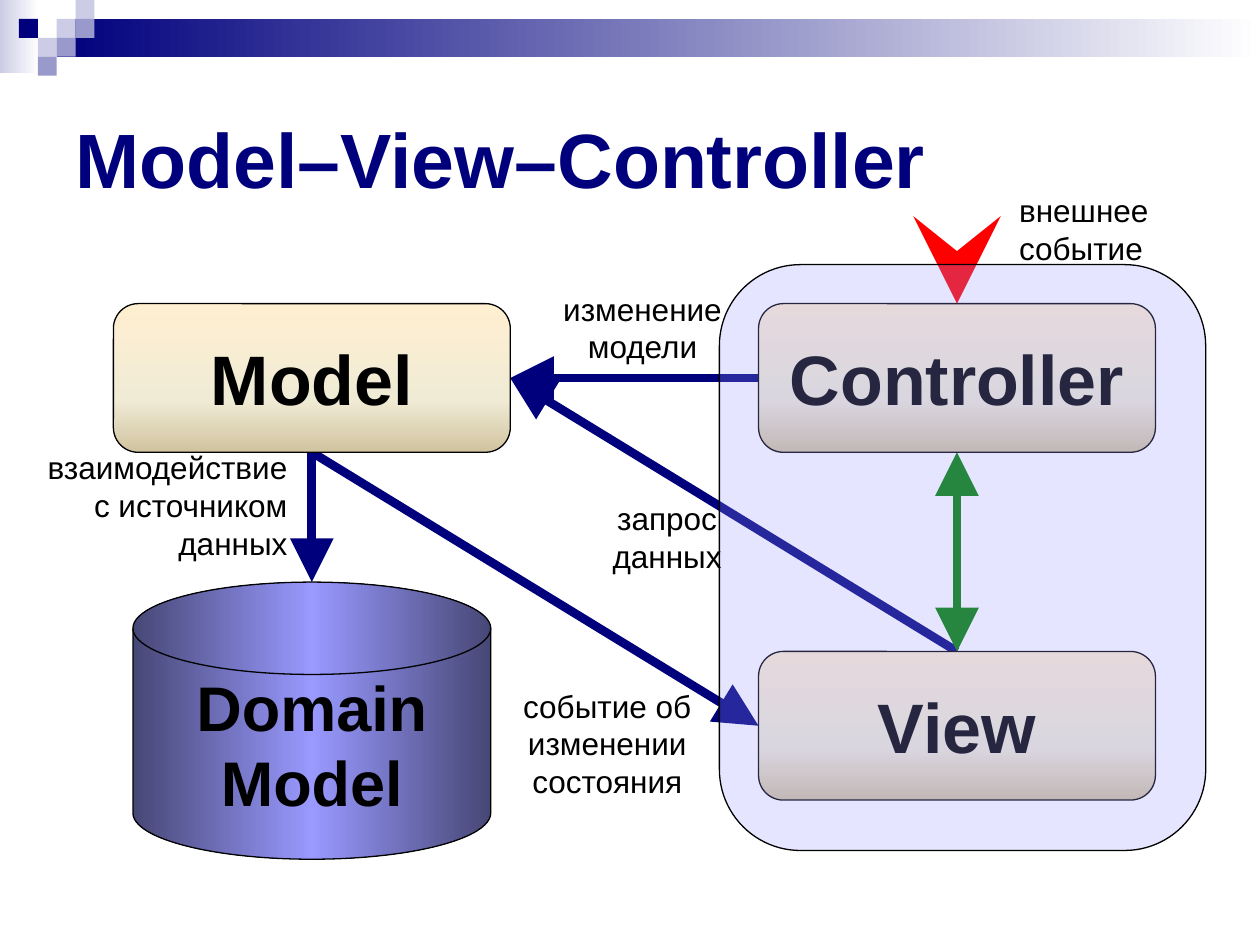
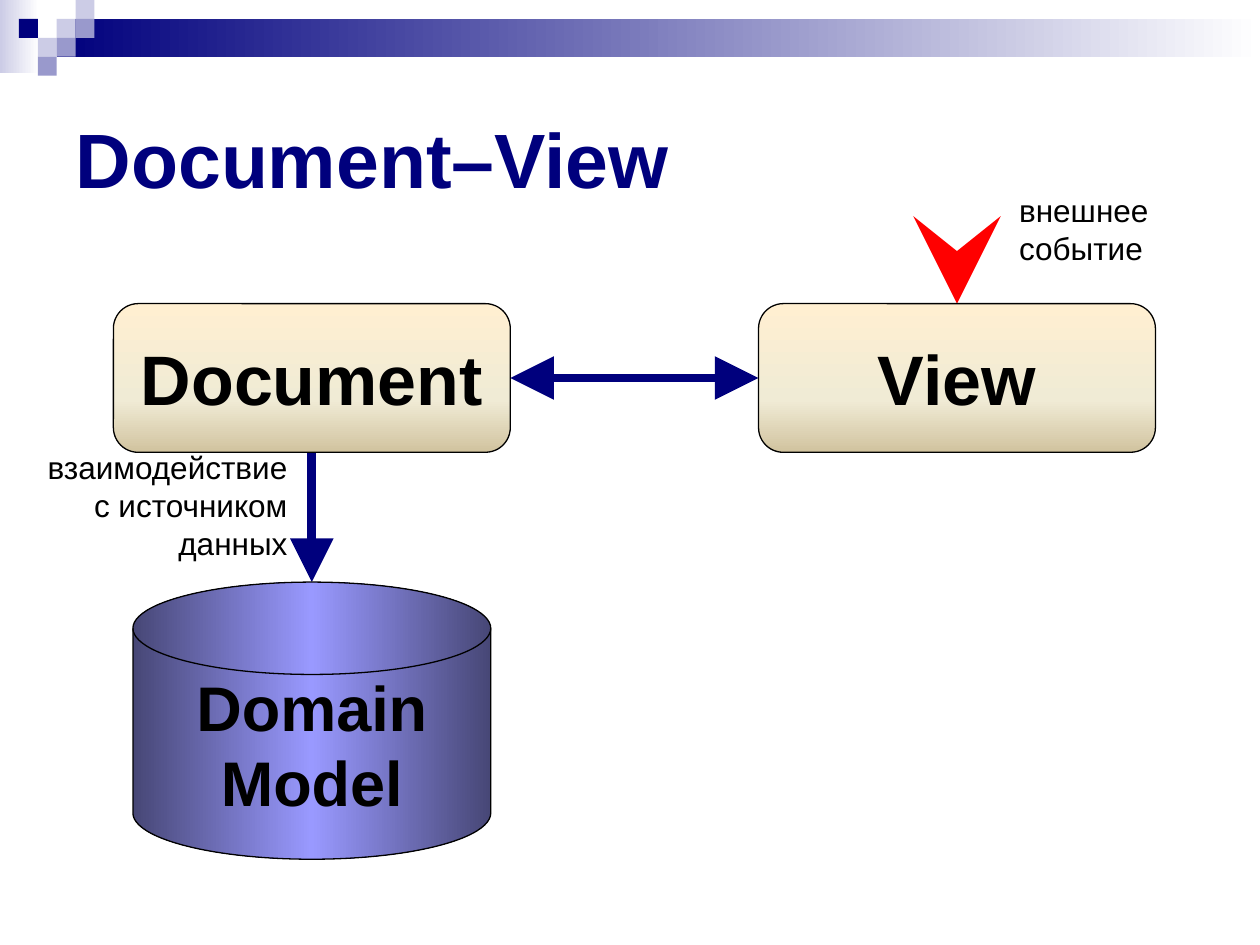
"""Build two slides that compare Model–View–Controller with Document–View."""
from copy import deepcopy

from lxml.etree import SubElement
from pptx import Presentation
from pptx.dml.color import RGBColor
from pptx.enum.shapes import MSO_CONNECTOR, MSO_SHAPE
from pptx.enum.text import MSO_ANCHOR, MSO_AUTO_SIZE, PP_ALIGN
from pptx.oxml.ns import qn
from pptx.util import Inches, Pt

NAVY, LAVENDER, PALE = "00007D", "9999CC", "CCCCE6"
BLACK, WHITE, RED, GREEN = "000000", "FFFFFF", "FF0000", "008000"
PERIWINKLE, DARK_PERIWINKLE = "9999FF", "474776"
CREAM, SAND, TAN = "FFEFD1", "F0EBD5", "D1C39F"

TOP, LEFT, BOTTOM, RIGHT = range(4)
ONE_WAY, TWO_WAY, EVENT = ("none", "triangle"), ("triangle", "triangle"), ("none", "stealth")

LEFT_COLUMN, RIGHT_COLUMN = 0.9, 6.02
UPPER_ROW, LOWER_ROW = 2.41, 5.17
PART_WIDTH, PART_HEIGHT = 3.15, 1.18
STORE_WIDTH, STORE_HEIGHT, STORE_TOP = 2.84, 2.2, 4.62
STORE_CENTER = LEFT_COLUMN + PART_WIDTH / 2
EVENT_CENTER = RIGHT_COLUMN + PART_WIDTH / 2
EVENT_TOP = UPPER_ROW - 0.55

TILE = 0.15
TILES = [
    (3, 1, PALE), (4, 0, PALE), (4, 1, LAVENDER), (2, 2, PALE),
    (1, 1, NAVY), (3, 2, LAVENDER), (2, 3, LAVENDER),
]
BAND = [
    (0, 0, 0.31, 0.58, [PALE, WHITE]),
    (0.45, 0.15, 9.55, 0.3, [NAVY, WHITE]),
] + [(column * TILE, row * TILE, TILE, TILE, [color]) for column, row, color in TILES]

SHARED_LABELS = [
    ("внешнее\nсобытие", 7.99, 1.47, 1.23, 0.7, PP_ALIGN.LEFT),
    ("взаимодействие\nс источником\nданных", 0.27, 3.51, 2.11, 1, PP_ALIGN.RIGHT),
]

DIAGRAMS = [
    {
        "title": "Model–View–Controller",
        "parts": {
            "Model": (LEFT_COLUMN, UPPER_ROW),
            "Controller": (RIGHT_COLUMN, UPPER_ROW),
            "View": (RIGHT_COLUMN, LOWER_ROW),
        },
        "links": [
            ("Model", BOTTOM, "store", TOP, NAVY, 5, ONE_WAY),
            ("event", BOTTOM, "Controller", TOP, RED, 10, EVENT),
            ("Controller", LEFT, "Model", RIGHT, NAVY, 5, ONE_WAY),
            ("Model", BOTTOM, "View", LEFT, NAVY, 5, ONE_WAY),
            ("View", TOP, "Model", RIGHT, NAVY, 5, ONE_WAY),
            ("View", TOP, "Controller", BOTTOM, GREEN, 5, TWO_WAY),
        ],
        "labels": [
            ("изменение\nмодели", 4.37, 2.25, 1.46, 0.7, PP_ALIGN.CENTER),
            ("событие об\nизменении\nсостояния", 4.02, 5.4, 1.6, 1, PP_ALIGN.CENTER),
            ("запрос\nданных", 4.76, 3.91, 1.07, 0.7, PP_ALIGN.CENTER),
        ],
        "panels": [(5.71, 2.1, 3.86, 4.65)],
    },
    {
        "title": "Document–View",
        "parts": {
            "Document": (LEFT_COLUMN, UPPER_ROW),
            "View": (RIGHT_COLUMN, UPPER_ROW),
        },
        "links": [
            ("Document", BOTTOM, "store", TOP, NAVY, 5, ONE_WAY),
            ("event", BOTTOM, "View", TOP, RED, 10, EVENT),
            ("View", LEFT, "Document", RIGHT, NAVY, 5, TWO_WAY),
        ],
        "labels": [],
        "panels": [],
    },
]


def paint(target, *colors, stops=(0, 100), angle=0):
    fill = target.fill
    if len(colors) == 1:
        fill.solid()
        fill.fore_color.rgb = RGBColor.from_string(colors[0])
        return
    fill.gradient()
    fill.gradient_angle = angle
    stop_list = target.element.spPr.find(qn("a:gradFill")).find(qn("a:gsLst"))
    while len(stop_list) < len(colors):
        stop_list.append(deepcopy(stop_list[0]))
    for stop, color, position in zip(fill.gradient_stops, colors, stops):
        stop.color.rgb = RGBColor.from_string(color)
        stop.position = position / 100


def write(shape, text, size=18, bold=False, color=BLACK, align=PP_ALIGN.CENTER,
          wrap=False, anchor=MSO_ANCHOR.MIDDLE, fit=MSO_AUTO_SIZE.NONE):
    frame = shape.text_frame
    frame.text = text
    frame.word_wrap = wrap
    frame.vertical_anchor = anchor
    frame.auto_size = fit
    for paragraph in frame.paragraphs:
        paragraph.alignment = align
        font = paragraph.runs[0].font
        font.name, font.size, font.bold = "Arial", Pt(size), bold
        paint(font, color)


prs = Presentation()
prs.slide_width, prs.slide_height = Inches(10), Inches(7.5)
layout = prs.slide_layouts[5]
layout_title = layout.placeholders[0]
layout_title.left, layout_title.top = Inches(0.5), Inches(0.5)
layout_title.width, layout_title.height = Inches(9), Inches(1.5)

for diagram in DIAGRAMS:
    shapes = prs.slides.add_slide(layout).shapes
    write(shapes.title, diagram["title"], size=44, bold=True, color=NAVY,
          align=PP_ALIGN.LEFT, wrap=True)

    parts = {}
    for name, corner in diagram["parts"].items():
        parts[name] = shapes.add_shape(MSO_SHAPE.FLOWCHART_ALTERNATE_PROCESS,
                                       *map(Inches, (*corner, PART_WIDTH, PART_HEIGHT)))
        paint(parts[name], CREAM, SAND, TAN, stops=(0, 65, 100), angle=270)
        write(parts[name], name, size=40, bold=True)

    store_left = STORE_CENTER - STORE_WIDTH / 2
    store = shapes.add_shape(MSO_SHAPE.FLOWCHART_MAGNETIC_DISK,
                             *map(Inches, (store_left, STORE_TOP, STORE_WIDTH, STORE_HEIGHT)))
    paint(store, DARK_PERIWINKLE, PERIWINKLE, DARK_PERIWINKLE, stops=(0, 50, 100))
    write(store, "Domain\nModel", size=36, bold=True)
    outlined = [*parts.values(), store]

    for source, source_side, goal, goal_side, color, width, heads in diagram["links"]:
        link = shapes.add_connector(
            MSO_CONNECTOR.STRAIGHT,
            *map(Inches, (EVENT_CENTER, EVENT_TOP, STORE_CENTER, STORE_TOP)))
        if source in parts:
            link.begin_connect(parts[source], source_side)
        if goal in parts:
            link.end_connect(parts[goal], goal_side)
        paint(link.line, color)
        link.line.width = Pt(width)
        properties = link.element.spPr
        for tag, head in zip(("a:headEnd", "a:tailEnd"), heads):
            SubElement(properties.find(qn("a:ln")), qn(tag), type=head, w="lg", len="lg")
        SubElement(properties, qn("a:effectLst"))
        outlined[0].element.addprevious(link.element)

    for text, *place, align in SHARED_LABELS + diagram["labels"]:
        label = shapes.add_textbox(*map(Inches, place))
        write(label, text, align=align, anchor=MSO_ANCHOR.TOP,
              fit=MSO_AUTO_SIZE.SHAPE_TO_FIT_TEXT)

    for place in diagram["panels"]:
        panel = shapes.add_shape(MSO_SHAPE.ROUNDED_RECTANGLE, *map(Inches, place))
        paint(panel, PERIWINKLE)
        panel_color = panel.element.spPr.find(qn("a:solidFill"))[0]
        SubElement(panel_color, qn("a:alpha"), val="25000")
        outlined.append(panel)

    for shape in outlined:
        shape.shadow.inherit = False
        paint(shape.line, BLACK)
        shape.line.width = Pt(0.75)

for *place, colors in BAND:
    band_piece = prs.slides[0].shapes.add_shape(MSO_SHAPE.RECTANGLE, *map(Inches, place))
    band_piece.shadow.inherit = False
    band_piece.line.fill.background()
    paint(band_piece, *colors)
    layout_title.element.addprevious(band_piece.element)

prs.save("out.pptx")
